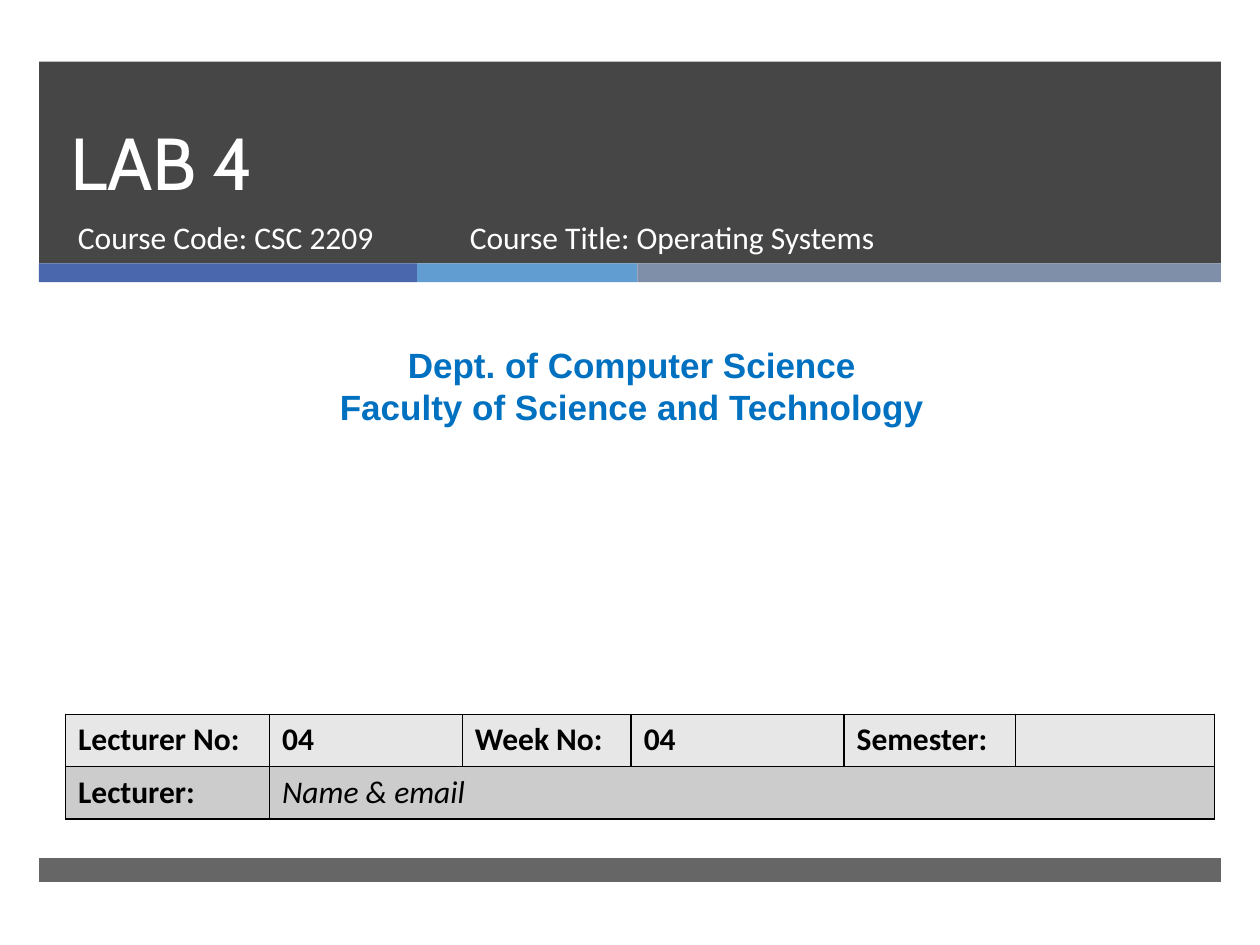
"""Build the title slide of an operating systems lab."""
from dataclasses import dataclass
from itertools import accumulate

from lxml import etree
from pptx import Presentation
from pptx import util as u
from pptx.dml.color import RGBColor
from pptx.enum import shapes, text
from pptx.oxml import ns

COLORS = {
    "charcoal": "262626", "indigo": "4A66AC", "sky": "629DD1", "slate": "7F8FA9",
    "white": "FFFFFF", "blue": "0070C0", "black": "000000",
    "light": "E7E7E7", "gray": "CCCCCC",
}
WIDTH, HEIGHT = u.Inches(10), u.Inches(7.5)
COLUMNS, ROWS = 100, 75
BAND_LEFT = 3.1


@dataclass(frozen=True)
class Area:
    """A rectangle in columns and rows of the slide grid."""
    left: float
    top: float
    width: float
    height: float

    def lengths(self) -> tuple[int, int, int, int]:
        """Return the rectangle in slide units."""
        return across(self.left), down(self.top), across(self.width), down(self.height)


@dataclass(frozen=True)
class Band:
    """A plain coloured bar."""
    area: Area
    color: str
    opacity: int = 100


@dataclass(frozen=True)
class Caption:
    """Free text with its place and format."""
    area: Area
    lines: tuple[str, ...]
    style: dict
    anchor: text.MSO_ANCHOR = text.MSO_ANCHOR.TOP


def across(columns: float) -> int:
    """Convert grid columns to a length."""
    return round(WIDTH * columns / COLUMNS)


def down(rows: float) -> int:
    """Convert grid rows to a length."""
    return round(HEIGHT * rows / ROWS)


def rgb(name: str) -> RGBColor:
    """Look up a named colour."""
    return RGBColor.from_string(COLORS[name])


def write(frame, *lines: str, size: float = 18, font: str = "Calibri",
          color: str = "white", bold: bool = False, italic: bool = False,
          align=text.PP_ALIGN.LEFT, spacing=None) -> None:
    """Write lines as formatted paragraphs."""
    for index, line in enumerate(lines):
        paragraph = frame.add_paragraph() if index else frame.paragraphs[0]
        paragraph.alignment = align
        if spacing is not None:
            paragraph.line_spacing = spacing
        run = paragraph.add_run()
        run.text = line
        run.font.size, run.font.name = u.Pt(size), font
        run.font.bold, run.font.italic = bold, italic
        run.font.color.rgb = rgb(color)


def draw_band(slide, band: Band) -> None:
    """Draw a bar without outline or shadow."""
    bar = slide.shapes.add_shape(shapes.MSO_SHAPE.RECTANGLE, *band.area.lengths())
    bar.shadow.inherit = False
    bar.line.fill.background()
    bar.fill.solid()
    bar.fill.fore_color.rgb = rgb(band.color)
    if band.opacity < 100:
        tint = bar.fill._xPr.find(".//" + ns.qn("a:srgbClr"))
        etree.SubElement(tint, ns.qn("a:alpha"), val=str(band.opacity * 1000))


def draw_caption(slide, caption: Caption) -> None:
    """Draw a wrapped text box."""
    frame = slide.shapes.add_textbox(*caption.area.lengths()).text_frame
    frame.word_wrap = True
    frame.vertical_anchor = caption.anchor
    write(frame, *caption.lines, **caption.style)


def fill_cell(cell, color: str) -> None:
    """Give a cell thin black borders and a fill."""
    properties = cell._tc.get_or_add_tcPr()
    for side in ("lnL", "lnR", "lnT", "lnB"):
        border = etree.SubElement(properties, ns.qn(f"a:{side}"), w=str(u.Pt(1)))
        paint = etree.SubElement(border, ns.qn("a:solidFill"))
        etree.SubElement(paint, ns.qn("a:srgbClr"), val=COLORS["black"])
    cell.fill.solid()
    cell.fill.fore_color.rgb = rgb(color)


def draw_schedule(slide, area: Area, widths: list[float],
                  entries: list[list[str]]) -> None:
    """Draw the lecture table, its last row merged after the label."""
    schedule = slide.shapes.add_table(len(entries), len(widths), *area.lengths()).table
    for column, width in zip(schedule.columns, widths):
        column.width = across(width)
    for row, (labels, color) in enumerate(zip(entries, ("light", "gray"))):
        for column in range(len(widths)):
            fill_cell(schedule.cell(row, column), color)
        for column, label in enumerate(labels):
            contact = row == 1 and column == 1
            if label:
                write(schedule.cell(row, column).text_frame, label,
                      color="black", bold=not contact, italic=contact)
    schedule.cell(1, 1).merge(schedule.cell(1, len(widths) - 1))


def main() -> None:
    """Compose and save the slide."""
    deck = Presentation()
    deck.slide_width, deck.slide_height = WIDTH, HEIGHT
    slide = deck.slides.add_slide(deck.slide_layouts[6])

    stripes = {"indigo": 30, "sky": 17.5, "slate": 46.3}
    starts = accumulate(stripes.values(), initial=BAND_LEFT)
    full = sum(stripes.values())
    bands = [
        Band(Area(BAND_LEFT, 4.9, full, 16), "charcoal", 85),
        *(Band(Area(start, 20.9, width, 1.5), color)
          for start, (color, width) in zip(starts, stripes.items())),
        Band(Area(BAND_LEFT, 68.1, full, 1.9), "charcoal", 70),
    ]
    for band in bands:
        draw_band(slide, band)

    captions = [
        Caption(Area(4.6, 4.9, 85.4, 11.9), ("LAB 4",),
                {"size": 42, "font": "Cabin", "spacing": u.Pt(46)},
                text.MSO_ANCHOR.BOTTOM),
        Caption(Area(5.2, 16.8, 30.5, 5.3), ("Course Code: CSC 2209",), {}),
        Caption(Area(36.3, 16.8, 45.5, 5.3), ("Course Title: Operating Systems",), {}),
        Caption(Area(0.8, 26.8, 98.7, 7.7),
                ("Dept. of Computer Science", "Faculty of Science and Technology"),
                {"size": 20, "font": "Arial", "color": "blue", "bold": True,
                 "align": text.PP_ALIGN.CENTER}),
    ]
    for caption in captions:
        draw_caption(slide, caption)

    draw_schedule(slide, Area(5.2, 56.7, 91.2, 8.3),
                  [16.2, 15.3, 13.4, 16.9, 13.6, 15.8],
                  [["Lecturer No:", "04", "Week No:", "04", "Semester:", ""],
                   ["Lecturer:", "Name & email"]])
    deck.save("out.pptx")


main()
